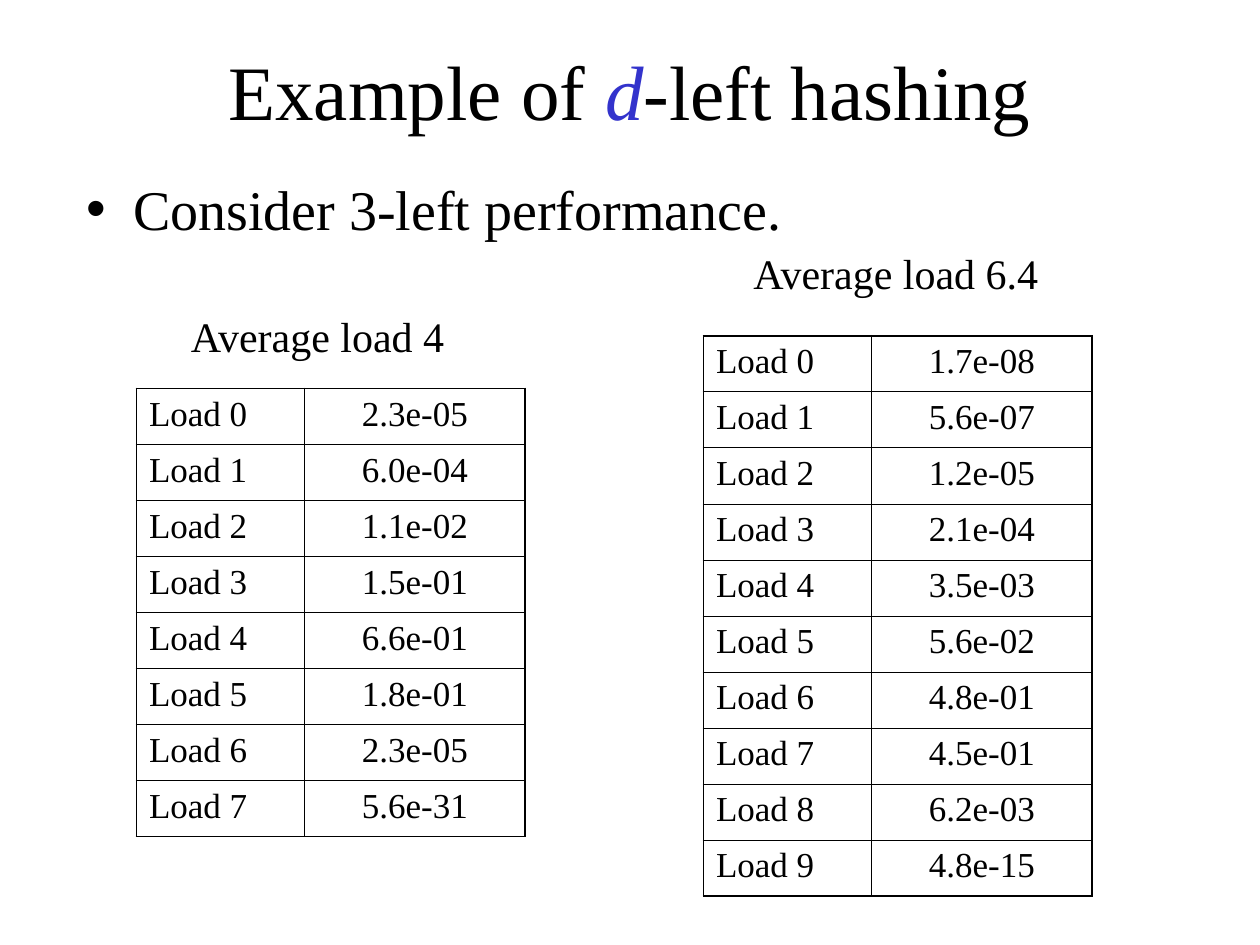
from lxml.etree import SubElement
from pptx import Presentation
from pptx.dml.color import RGBColor
from pptx.enum.text import MSO_ANCHOR, MSO_AUTO_SIZE, PP_ALIGN
from pptx.oxml.ns import qn
from pptx.util import Cm, Pt

COLORS = {"text": "000000", "accent": "3333CC", "border": "000000"}
FONT = "Times New Roman"
OUTER, INNER = Pt(1.08), Pt(0.45)

LOADS_4 = ["2.3e-05", "6.0e-04", "1.1e-02", "1.5e-01",
           "6.6e-01", "1.8e-01", "2.3e-05", "5.6e-31"]
LOADS_6_4 = ["1.7e-08", "5.6e-07", "1.2e-05", "2.1e-04", "3.5e-03",
             "5.6e-02", "4.8e-01", "4.5e-01", "6.2e-03", "4.8e-15"]


class SlideBuilder:
    """Holds the text style and the current slide."""

    def __init__(self, slide):
        self.slide = slide

    def style(self, span, size, color="text", italic=False):
        span.font.name = FONT
        span.font.size = Pt(size)
        span.font.italic = italic
        span.font.color.rgb = RGBColor.from_string(COLORS[color])

    def place(self, shape, left, top, width, height):
        shape.left, shape.top = Cm(left), Cm(top)
        shape.width, shape.height = Cm(width), Cm(height)

    def title(self, parts, *position):
        shape = self.slide.shapes.title
        self.place(shape, *position)
        frame = shape.text_frame
        frame.auto_size = MSO_AUTO_SIZE.NONE
        frame.vertical_anchor = MSO_ANCHOR.MIDDLE
        para = frame.paragraphs[0]
        para.alignment = PP_ALIGN.CENTER
        for text, color, italic in parts:
            span = para.add_run()
            span.text = text
            self.style(span, 44, color, italic)

    def bullet(self, text, *position):
        shape = self.slide.placeholders[1]
        self.place(shape, *position)
        frame = shape.text_frame
        frame.text = text
        frame.auto_size = MSO_AUTO_SIZE.NONE
        para = frame.paragraphs[0]
        properties = para._p.get_or_add_pPr()
        properties.set("marL", str(Cm(0.95)))
        properties.set("indent", str(Cm(-0.95)))
        SubElement(properties, qn("a:buChar"), char="•")
        para.space_before = Pt(0)
        self.style(para.runs[0], 32)

    def label(self, text, alignment, *position):
        box = self.slide.shapes.add_textbox(*map(Cm, position))
        frame = box.text_frame
        frame.text = text
        frame.word_wrap = False
        frame.auto_size = MSO_AUTO_SIZE.SHAPE_TO_FIT_TEXT
        para = frame.paragraphs[0]
        para.alignment = alignment
        self.style(para.runs[0], 24)

    def borders(self, cell, widths):
        properties = cell._tc.get_or_add_tcPr()
        for side, width in zip("LRTB", widths):
            line = SubElement(properties, qn(f"a:ln{side}"), w=str(width))
            fill = SubElement(line, qn("a:solidFill"))
            SubElement(fill, qn("a:srgbClr"), val=COLORS["border"])

    def load_table(self, values, left, top):
        widths, row_height = (3.39, 4.45), 1.13
        count = len(values)
        table = self.slide.shapes.add_table(
            count, 2, Cm(left), Cm(top),
            Cm(sum(widths)), Cm(row_height * count)).table
        table.first_row = table.horz_banding = False
        for column, width in zip(table.columns, widths):
            column.width = Cm(width)
        for row, value in enumerate(values):
            table.rows[row].height = Cm(row_height)
            for column, text in enumerate((f"Load {row}", value)):
                cell = table.cell(row, column)
                cell.text = text
                para = cell.text_frame.paragraphs[0]
                para.alignment = PP_ALIGN.CENTER if column else PP_ALIGN.LEFT
                self.style(para.runs[0], 20)
                at_edge = (column == 0, column == 1, row == 0, row == count - 1)
                self.borders(cell, [OUTER if edge else INNER for edge in at_edge])
                cell.fill.background()


def main():
    deck = Presentation()
    deck.slide_width, deck.slide_height = Cm(25.4), Cm(19.05)
    builder = SlideBuilder(deck.slides.add_slide(deck.slide_layouts[1]))

    # Heading and statement
    builder.title([("Example of ", "text", False), ("d", "accent", True),
                   ("-left hashing", "text", False)], 1.9, 0.21, 21.59, 3.18)
    builder.bullet("Consider 3-left performance.", 1.48, 3.39, 22.01, 2.12)

    # Table captions
    builder.label("Average load 4", PP_ALIGN.LEFT, 3.6, 6.14, 5.66, 1.27)
    builder.label("Average load 6.4", PP_ALIGN.CENTER, 14.91, 4.87, 6.3, 1.27)

    # Load distributions
    builder.load_table(LOADS_4, 2.75, 7.83)
    builder.load_table(LOADS_6_4, 14.18, 6.77)

    deck.save("out.pptx")


if __name__ == "__main__":
    main()
